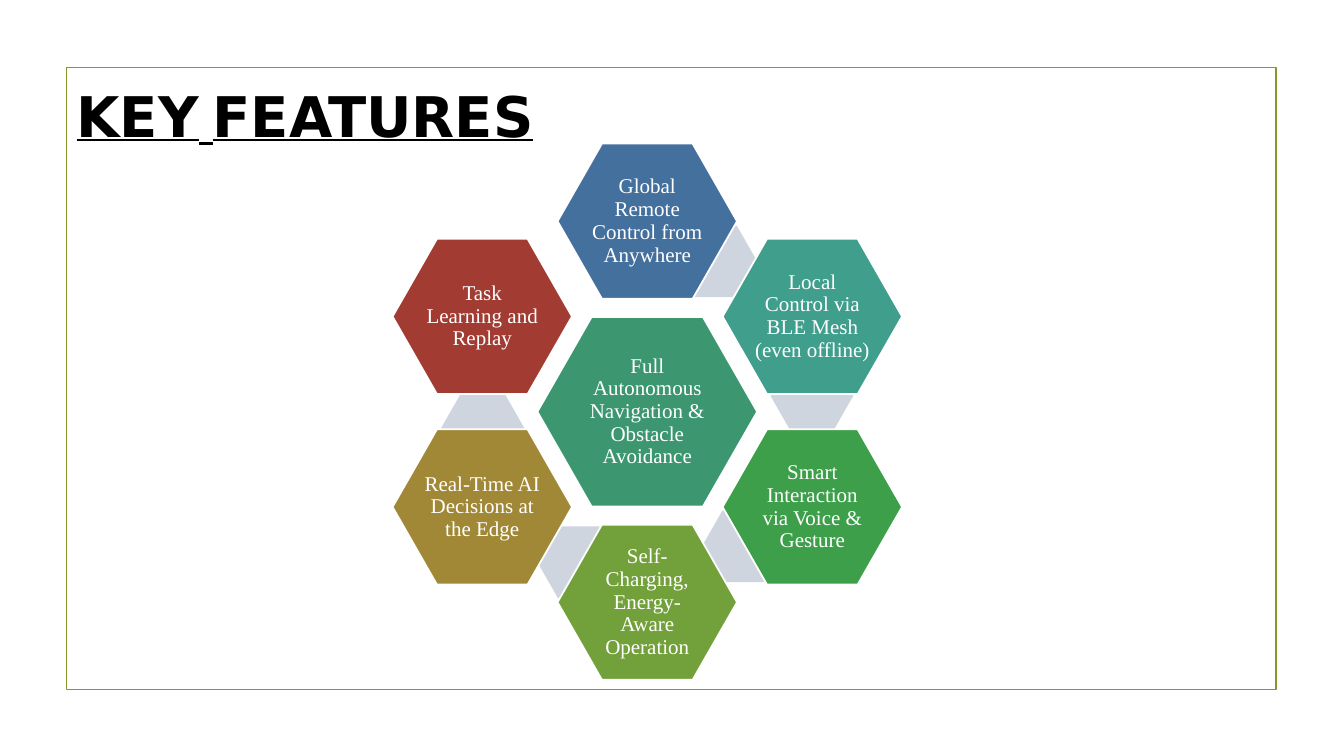
from math import cos, radians, sin

from pptx import Presentation
from pptx.dml.color import RGBColor
from pptx.enum.shapes import MSO_SHAPE
from pptx.enum.text import MSO_ANCHOR, MSO_AUTO_SIZE, PP_ALIGN
from pptx.util import Inches, Pt

OLIVE = RGBColor(0x83, 0x99, 0x2A)
BLACK = RGBColor(0x00, 0x00, 0x00)
WHITE = RGBColor(0xFF, 0xFF, 0xFF)
SPACER_GREY = RGBColor(0xCF, 0xD5, 0xDF)
CORE_GREEN = RGBColor(0x3C, 0x97, 0x70)
BLUE = RGBColor(0x44, 0x70, 0x9D)
TEAL = RGBColor(0x40, 0x9E, 0x8D)
GREEN = RGBColor(0x3D, 0x9F, 0x4A)
LIME = RGBColor(0x72, 0xA0, 0x3A)
OCHRE = RGBColor(0xA1, 0x88, 0x36)
RED = RGBColor(0xA2, 0x3C, 0x33)

SANS = "DejaVu Sans"
SERIF = "Times New Roman"

CORE_FEATURE = "Full Autonomous Navigation & Obstacle Avoidance"
# Clockwise from the top
RING_FEATURES = [
    ("Global Remote Control from Anywhere", BLUE),
    ("Local Control via BLE Mesh (even offline)", TEAL),
    ("Smart Interaction via Voice & Gesture", GREEN),
    ("Self-Charging, Energy-Aware Operation", LIME),
    ("Real-Time AI Decisions at the Edge", OCHRE),
    ("Task Learning and Replay", RED),
]


def add_frame(slide, left, top, width, height):
    sp = slide.shapes.add_shape(MSO_SHAPE.RECTANGLE, Inches(left), Inches(top),
                                Inches(width), Inches(height))
    sp.shadow.inherit = False
    sp.fill.background()
    sp.line.color.rgb = OLIVE
    sp.line.width = Pt(1.25)


def add_title(slide, left, top, width, height):
    title = slide.shapes.title
    title.left, title.top = Inches(left), Inches(top)
    title.width, title.height = Inches(width), Inches(height)
    tf = title.text_frame
    tf.word_wrap = False
    tf.auto_size = MSO_AUTO_SIZE.SHAPE_TO_FIT_TEXT
    tf.vertical_anchor = MSO_ANCHOR.TOP
    p = tf.paragraphs[0]
    p.alignment = PP_ALIGN.LEFT
    for text, font in (("KEY", SANS), (" ", SERIF), ("FEATURES", SANS)):
        r = p.add_run()
        r.text = text
        r.font.name = font
        r.font.size = Pt(40)
        r.font.bold = r.font.underline = True
        r.font.color.rgb = BLACK


def add_hexagon(slide, center, size, color):
    (cx, cy), (width, height) = center, size
    sp = slide.shapes.add_shape(MSO_SHAPE.HEXAGON,
                                Inches(cx - width / 2), Inches(cy - height / 2),
                                Inches(width), Inches(height))
    sp.adjustments[0] = 0.286
    sp.shadow.inherit = False
    sp.fill.solid()
    sp.fill.fore_color.rgb = color
    sp.line.fill.background()
    return sp


def add_feature(slide, center, size, color, text):
    sp = add_hexagon(slide, center, size, color)
    sp.line.color.rgb = WHITE
    sp.line.width = Pt(1.25)
    tf = sp.text_frame
    tf.word_wrap = True
    tf.vertical_anchor = MSO_ANCHOR.MIDDLE
    tf.margin_left = tf.margin_right = Inches(0.02)
    tf.margin_top = tf.margin_bottom = Inches(0.02)
    p = tf.paragraphs[0]
    p.alignment = PP_ALIGN.CENTER
    p.line_spacing = 0.9
    r = p.add_run()
    r.text = text
    r.font.name = SERIF
    r.font.size = Pt(15)
    r.font.color.rgb = WHITE


def add_feature_ring(slide, left, top, width, height):
    """Place the core feature in the middle of the box and the others around it."""
    cx, cy = left + width / 2, top + height / 2
    step = 360 / len(RING_FEATURES)

    def on_ring(radius, degrees):
        angle = radians(degrees)
        return cx + radius * sin(angle), cy - radius * cos(angle)

    # One spacer shows in each gap but the last
    for i in range(len(RING_FEATURES) - 1):
        add_hexagon(slide, on_ring(1.64, 24.5 + i * step), (0.82, 0.71), SPACER_GREY)
    add_feature(slide, (cx, cy), (2.18, 1.88), CORE_GREEN, CORE_FEATURE)
    for i, (text, color) in enumerate(RING_FEATURES):
        add_feature(slide, on_ring(1.89, i * step), (1.78, 1.54), color, text)


def main():
    prs = Presentation()
    prs.slide_width, prs.slide_height = Inches(13.33), Inches(7.5)
    slide = prs.slides.add_slide(prs.slide_layouts[5])
    add_frame(slide, 0.66, 0.67, 12, 6.17)
    add_title(slide, 0.66, 0.76, 4.83, 0.77)
    add_feature_ring(slide, 3.89, 1.43, 5.06, 5.31)
    prs.save("out.pptx")


if __name__ == "__main__":
    main()
